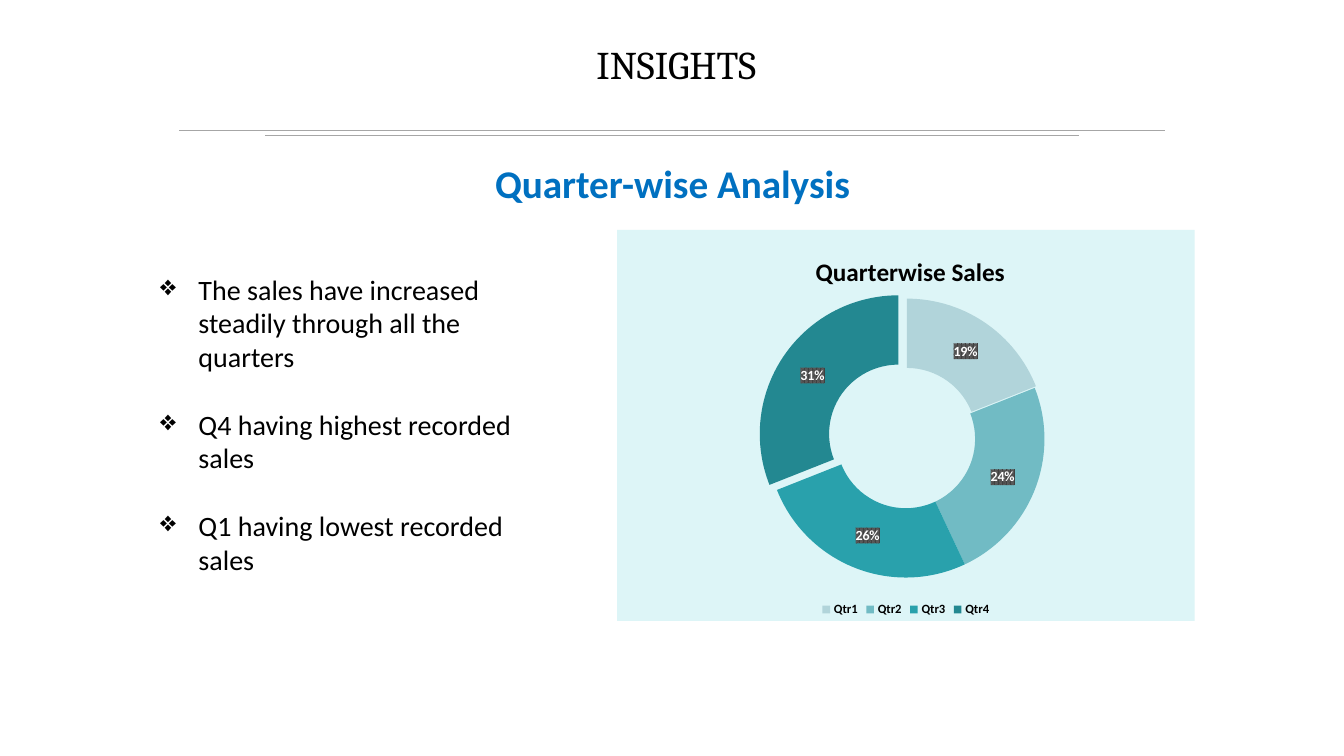
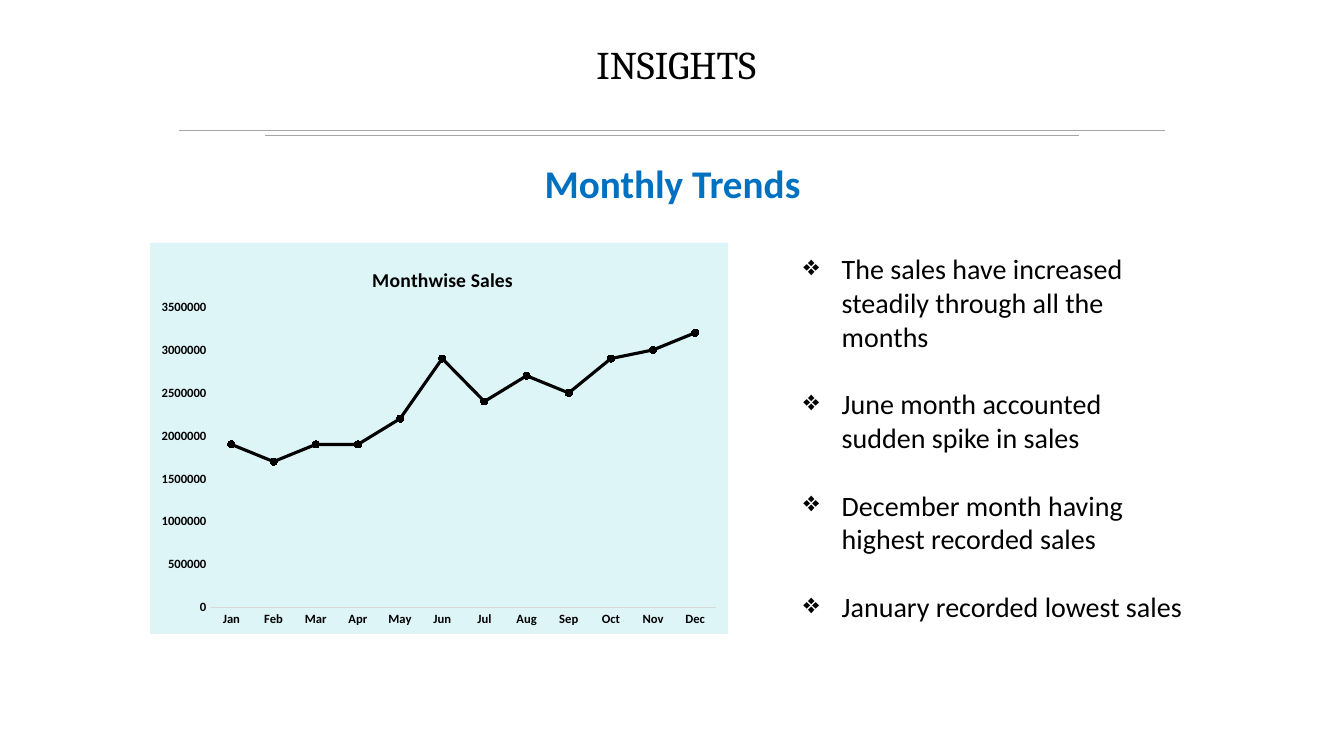
from lxml import etree
from pptx import Presentation
from pptx.chart.data import CategoryChartData
from pptx.dml.color import RGBColor
from pptx.enum.chart import XL_CHART_TYPE as Kind, XL_LEGEND_POSITION as LegendAt
from pptx.enum.chart import XL_MARKER_STYLE as Marker, XL_TICK_MARK as Tick
from pptx.enum.shapes import MSO_CONNECTOR as Connector
from pptx.enum.text import MSO_AUTO_SIZE as AutoSize, PP_ALIGN as Align
from pptx.oxml import parse_xml
from pptx.oxml.ns import nsdecls, qn
from pptx.util import Inches, Pt

MARGIN = 1.49
CONTENT_WIDTH = 10.36
CHART_SIZE = (5.73, 3.88)
BULLET_WIDTH = 3.98
RIGHT_EDGE = MARGIN + CONTENT_WIDTH


def rgb(value):
    return RGBColor.from_string(value)


def manual_layout(inner=False, **fractions):
    target = '<c:layoutTarget val="inner"/>' if inner else ""
    modes = "".join(f'<c:{axis}Mode val="edge"/>' for axis in ("x", "y"))
    places = "".join(f'<c:{name} val="{part}"/>' for name, part in fractions.items())
    return parse_xml(
        f'<c:layout {nsdecls("c")}><c:manualLayout>{target}{modes}{places}'
        "</c:manualLayout></c:layout>"
    )


class Deck:
    BLACK = "000000"
    ACCENT = "0070C0"
    RULE = "A6A6A6"
    AXIS = "D9D9D9"
    PANEL = "DDF5F7"
    BODY_FONT = "Calibri"
    TITLE_FONT = "Cambria"

    def __init__(self):
        self.deck = Presentation()
        self.deck.slide_width = Inches(13.33)
        self.deck.slide_height = Inches(7.5)
        self.slide = None

    def style(self, font, size, color=BLACK, bold=False, face=BODY_FONT):
        font.name = face
        font.size = Pt(size)
        font.bold = bold
        font.color.rgb = rgb(color)

    def new_slide(self, heading):
        self.slide = self.deck.slides.add_slide(self.deck.slide_layouts[6])
        self.centered(" INSIGHTS", 0, 0.35, 13.33, self.BLACK, False, self.TITLE_FONT)
        self.rule(1.78, 11.55, 1.29)
        self.rule(2.63, 10.7, 1.34)
        self.centered(heading, MARGIN, 1.53, CONTENT_WIDTH, self.ACCENT, True, self.BODY_FONT)

    def frame(self, left, top, width, height):
        box = self.slide.shapes.add_textbox(
            Inches(left), Inches(top), Inches(width), Inches(height)
        )
        box.text_frame.word_wrap = True
        box.text_frame.auto_size = AutoSize.SHAPE_TO_FIT_TEXT
        return box.text_frame

    def centered(self, text, left, top, width, color, bold, face):
        line = self.frame(left, top, width, 0.57).paragraphs[0]
        line.alignment = Align.CENTER
        run = line.add_run()
        run.text = text
        self.style(run.font, 28, color, bold, face)

    def rule(self, start, end, top):
        rule = self.slide.shapes.add_connector(
            Connector.STRAIGHT, Inches(start), Inches(top), Inches(end), Inches(top)
        )
        rule.line.color.rgb = rgb(self.RULE)
        rule.line.width = Pt(0.5)
        etree.SubElement(rule._element.spPr, qn("a:effectLst"))

    def bullets(self, findings, left, top, height):
        frame = self.frame(left, top, BULLET_WIDTH, height)
        for index, finding in enumerate(findings):
            paragraph = frame.paragraphs[0] if index == 0 else frame.add_paragraph()
            properties = paragraph._p.get_or_add_pPr()
            properties.set("marL", str(Inches(0.38)))
            properties.set("indent", str(Inches(-0.38)))
            etree.SubElement(properties, qn("a:buChar")).set("char", "❖")
            if index:
                paragraph.space_before = Pt(24.4)
            run = paragraph.add_run()
            run.text = finding
            self.style(run.font, 20)

    def chart(self, kind, title, title_size, title_left, sales, left, top, plot):
        data = CategoryChartData()
        data.categories = list(sales)
        data.add_series("Series 1", list(sales.values()))
        chart = self.slide.shapes.add_chart(
            kind, Inches(left), Inches(top), *map(Inches, CHART_SIZE), data
        ).chart
        self.style(chart.font, 10)
        chart.has_legend = False
        chart.has_title = True
        run = chart.chart_title.text_frame.paragraphs[0].add_run()
        run.text = title
        self.style(run.font, title_size, bold=True)
        heading = chart.chart_title._element
        self.place(heading, manual_layout(x=title_left, y=0.05), 1)
        area = chart._chartSpace.find(".//" + qn("c:plotArea"))
        self.place(area, manual_layout(True, **plot), 0)
        chart._chartSpace.find(qn("c:txPr")).addprevious(parse_xml(
            f'<c:spPr {nsdecls("c", "a")}><a:solidFill><a:srgbClr val="{self.PANEL}"/>'
            "</a:solidFill><a:ln><a:noFill/></a:ln></c:spPr>"
        ))
        return chart

    def place(self, parent, layout, position):
        for old in parent.findall(qn("c:layout")):
            parent.remove(old)
        parent.insert(position, layout)

    def doughnut(self, title, sales, colors, explosions, left, top):
        chart = self.chart(
            Kind.DOUGHNUT, title, 18, 0.336, sales, left, top,
            dict(x=0.26, y=0.18, w=0.48, h=0.71),
        )
        chart.has_legend = True
        chart.legend.position = LegendAt.BOTTOM
        chart.legend.include_in_layout = False
        self.style(chart.legend.font, 9, bold=True)
        quarters = chart.plots[0]
        series = quarters.series[0]
        for index, color in enumerate(colors):
            ring = series.points[index].format
            ring.fill.solid()
            ring.fill.fore_color.rgb = rgb(color)
            ring.line.fill.background()
        for point in series._element.findall(qn("c:dPt")):
            distance = explosions.get(int(point.find(qn("c:idx")).get("val")))
            if distance:
                explosion = etree.Element(qn("c:explosion"), val=str(distance))
                point.find(qn("c:spPr")).addprevious(explosion)
        labels = series.data_labels
        labels.show_percentage = True
        labels.show_value = False
        labels.show_legend_key = False
        labels.number_format = "0%"
        labels.number_format_is_linked = False
        self.style(labels.font, 10, "FFFFFF", True)
        labels._element.find(qn("c:txPr")).addprevious(parse_xml(
            f'<c:spPr {nsdecls("c", "a")}><a:pattFill prst="pct75">'
            '<a:fgClr><a:srgbClr val="404040"/></a:fgClr>'
            '<a:bgClr><a:srgbClr val="595959"/></a:bgClr></a:pattFill></c:spPr>'
        ))

    def trend(self, title, sales, left, top):
        chart = self.chart(
            Kind.LINE_MARKERS, title, 14, 0.378, sales, left, top,
            dict(x=0.104, y=0.164, w=0.876, h=0.769),
        )
        for axis in (chart.category_axis, chart.value_axis):
            axis.has_major_gridlines = False
            axis.major_tick_mark = axis.minor_tick_mark = Tick.NONE
            self.style(axis.tick_labels.font, 9, bold=True)
        chart.category_axis.format.line.color.rgb = rgb(self.AXIS)
        chart.category_axis.format.line.width = Pt(0.75)
        chart.value_axis.format.line.fill.background()
        chart.value_axis.minimum_scale = 0
        chart.value_axis.maximum_scale = 3500000
        chart.value_axis.major_unit = 500000
        chart.plots[0].vary_by_categories = False
        series = chart.plots[0].series[0]
        series.smooth = False
        series.format.line.color.rgb = rgb(self.BLACK)
        series.format.line.width = Pt(2.25)
        series.marker.style = Marker.CIRCLE
        series.marker.size = 5
        series.marker.format.fill.solid()
        series.marker.format.fill.fore_color.rgb = rgb(self.BLACK)
        series.marker.format.line.color.rgb = rgb(self.BLACK)


def main():
    deck = Deck()

    deck.new_slide("Quarter-wise Analysis")
    deck.doughnut(
        "Quarterwise Sales",
        {"Qtr1": 19, "Qtr2": 24, "Qtr3": 26, "Qtr4": 31},
        ["B1D4DA", "71BBC4", "29A1AC", "238891"],
        {0: 3, 3: 13},
        RIGHT_EDGE - CHART_SIZE[0], 2.28,
    )
    deck.bullets([
        "The sales have increased steadily through all the quarters",
        "Q4 having highest recorded sales",
        "Q1 having lowest recorded sales",
    ], MARGIN, 2.65, 3.13)

    deck.new_slide("Monthly Trends")
    months = "Jan Feb Mar Apr May Jun Jul Aug Sep Oct Nov Dec".split()
    amounts = [
        1900000, 1700000, 1900000, 1900000, 2200000, 2900000,
        2400000, 2700000, 2500000, 2900000, 3000000, 3200000,
    ]
    deck.trend("Monthwise Sales", dict(zip(months, amounts)), MARGIN, 2.41)
    deck.bullets([
        "The sales have increased steadily through all the months",
        "June month accounted sudden spike in sales",
        "December month having highest recorded sales",
        "January recorded lowest sales",
    ], RIGHT_EDGE - BULLET_WIDTH, 2.45, 3.8)

    deck.deck.save("out.pptx")


if __name__ == "__main__":
    main()
